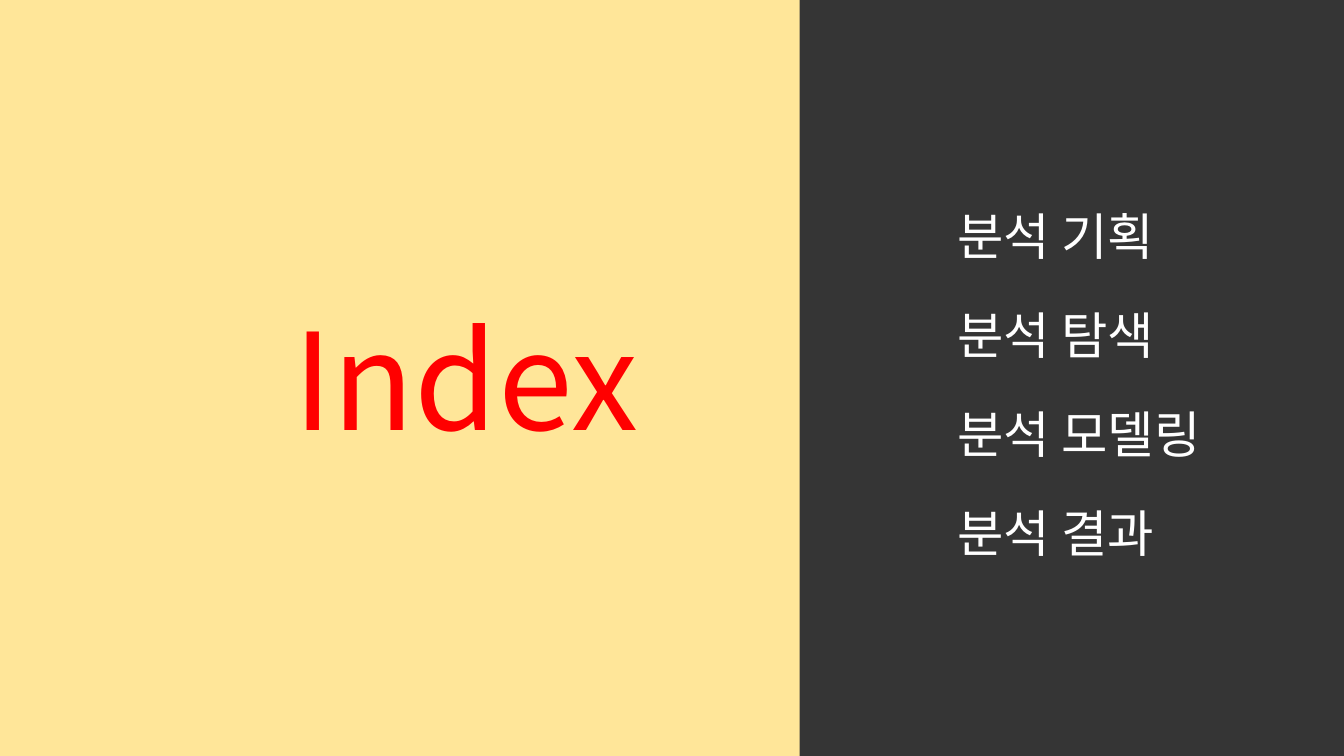
from lxml import etree
from pptx import Presentation
from pptx import util as u
from pptx.dml import color
from pptx.enum import shapes, text
from pptx.oxml import ns

COLORS = {"cream": "FFE699", "charcoal": "353535", "white": "FFFFFF", "red": "FF0000"}
FONT = "Noto Sans CJK KR"
TOPICS = ["분석 기획", "분석 탐색", "분석 모델링", "분석 결과"]
SLIDE_WIDTH, SLIDE_HEIGHT = 960, 540
DIVIDER = 571.2


def rgb(name):
    return color.RGBColor.from_string(COLORS[name])


def add_panel(slide, kind, left, width, fill):
    panel = slide.shapes.add_shape(kind, u.Pt(left), u.Pt(0), u.Pt(width), u.Pt(SLIDE_HEIGHT))
    panel.shadow.inherit = False
    panel.fill.solid()
    panel.fill.fore_color.rgb = rgb(fill)
    panel.line.fill.background()
    return panel


def write_text(holder, lines, *, box, size, fill, pitch=None):
    holder.left, holder.top, holder.width, holder.height = map(u.Pt, box)
    frame = holder.text_frame
    frame.margin_left = frame.margin_right = u.Pt(7.2)
    frame.margin_top = frame.margin_bottom = u.Pt(3.6)
    frame.vertical_anchor = text.MSO_ANCHOR.TOP
    frame.auto_size = text.MSO_AUTO_SIZE.NONE
    frame.word_wrap = False
    frame.text = "\n".join(lines)
    for line in frame.paragraphs:
        line.alignment = text.PP_ALIGN.LEFT
        line.space_before = line.space_after = u.Pt(0)
        if pitch:
            line.line_spacing = u.Pt(pitch)
        properties = line._p.get_or_add_pPr()
        properties.set("marL", "0")
        properties.set("indent", "0")
        etree.SubElement(properties, ns.qn("a:buNone"))
        for run in line.runs:
            run.font.name = FONT
            run.font.size = u.Pt(size)
            run.font.color.rgb = rgb(fill)
            etree.SubElement(run.font._element, ns.qn("a:ea"), typeface=FONT)


def main():
    deck = Presentation()
    deck.slide_width, deck.slide_height = u.Pt(SLIDE_WIDTH), u.Pt(SLIDE_HEIGHT)
    slide = deck.slides.add_slide(deck.slide_layouts[1])
    heading, topics = slide.placeholders

    index_panel = add_panel(slide, shapes.MSO_SHAPE.ROUNDED_RECTANGLE, 0, 621.6, "cream")
    index_panel.adjustments[0] = 0
    topic_panel = add_panel(slide, shapes.MSO_SHAPE.RECTANGLE, DIVIDER,
                            SLIDE_WIDTH - DIVIDER, "charcoal")
    for panel in (topic_panel, index_panel):
        slide.shapes.element.insert(2, panel.element)

    write_text(heading, ["Index"], box=(202.3, 208, 277.2, 124), size=96, fill="red")
    write_text(topics, TOPICS, box=(676.8, 115, 204.5, 290), size=36, fill="white", pitch=70.8)
    deck.save("out.pptx")


if __name__ == "__main__":
    main()
